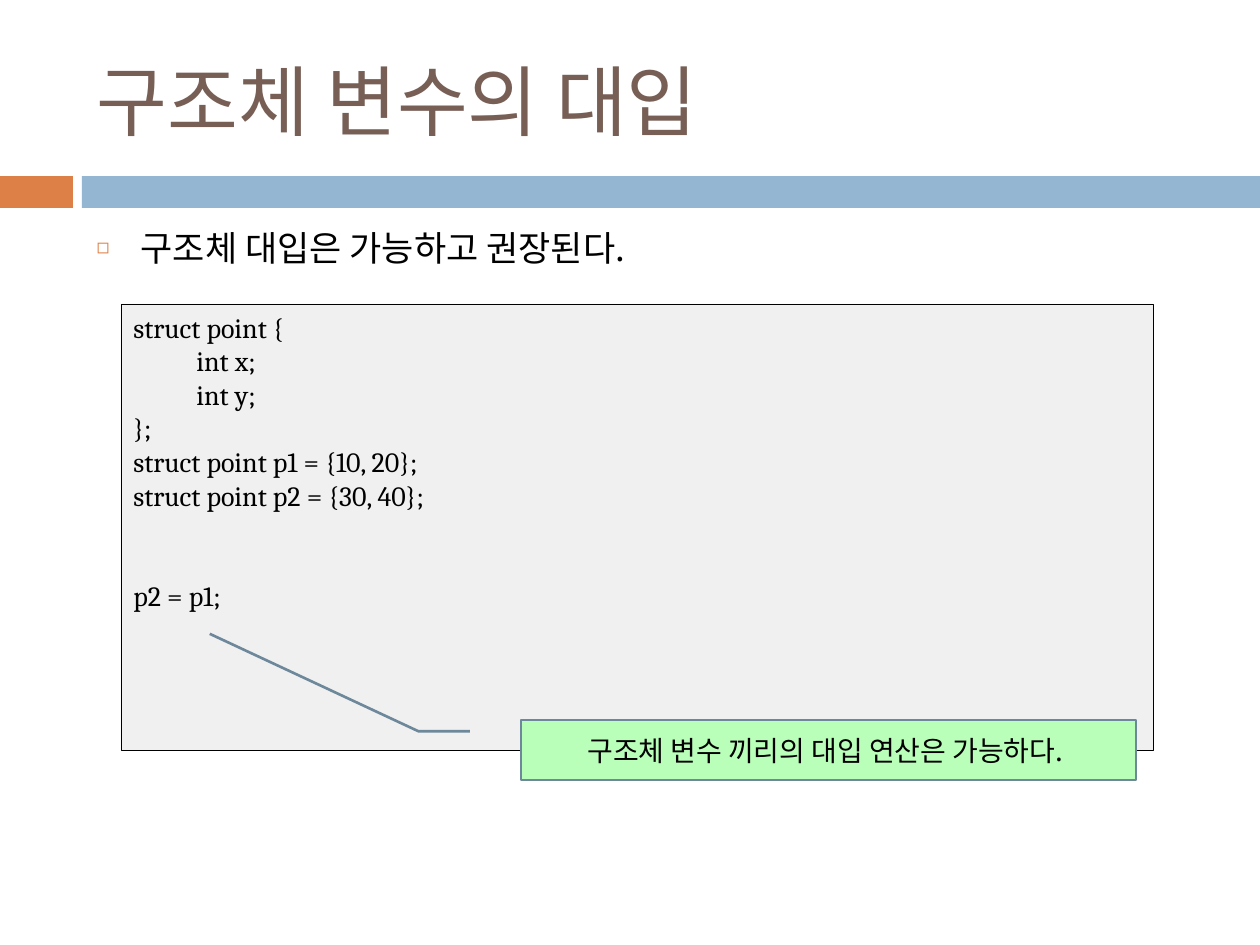
from lxml.etree import SubElement
from pptx import Presentation
from pptx.dml.color import RGBColor
from pptx.enum.shapes import MSO_SHAPE
from pptx.enum.text import MSO_ANCHOR, PP_ALIGN
from pptx.oxml.ns import qn
from pptx.util import Emu, Pt

PX = 914400 / 126
KOREAN = "Noto Sans CJK KR"

# Content
TITLE = "구조체 변수의 대입"
BULLETS = ["구조체 대입은 가능하고 권장된다."]
DECLARATIONS = [
    "struct point {",
    "\tint x;",
    "\tint y;",
    "};",
    "struct point p1 = {10, 20};",
    "struct point p2 = {30, 40};",
]
ASSIGNMENT = "p2 = p1;"
NOTE = "구조체 변수 끼리의 대입 연산은 가능하다. "
BANDS = [((0, 176, 73, 32), "DD8047"), ((82, 176, 1178, 32), "94B6D2")]
POINTER = [0.188, -0.083, 0.188, -0.167, -1.435, -0.506]


def px(length):
    return Emu(round(length * PX))


def color(hex_value):
    return RGBColor.from_string(hex_value)


def place(shape, box):
    shape.left, shape.top, shape.width, shape.height = map(px, box)


def write(frame, lines, size, font=KOREAN, ink="000000",
          align=PP_ALIGN.LEFT, anchor=MSO_ANCHOR.TOP):
    frame.word_wrap = True
    frame.vertical_anchor = anchor
    for index, line in enumerate(lines):
        paragraph = frame.paragraphs[0] if index == 0 else frame.add_paragraph()
        paragraph.alignment = align
        run = paragraph.add_run()
        run.text = line
        run.font.size = Pt(size)
        run.font.name = font
        run.font.color.rgb = color(ink)
        SubElement(run.font._element, qn("a:ea"), typeface=KOREAN)
    return frame.paragraphs


def add_bullet(paragraph, char, ink, percent, indent):
    properties = paragraph._p.get_or_add_pPr()
    properties.set("marL", str(px(indent)))
    properties.set("indent", str(-px(indent)))
    SubElement(SubElement(properties, qn("a:buClr")), qn("a:srgbClr"), val=ink)
    SubElement(properties, qn("a:buSzPct"), val=str(percent * 1000))
    SubElement(properties, qn("a:buChar"), char=char)


def add_box(slide, preset, box, fill, line=None, line_width=0):
    shape = slide.shapes.add_shape(preset, *map(px, box))
    shape.shadow.inherit = False
    shape.fill.solid()
    shape.fill.fore_color.rgb = color(fill)
    if line:
        shape.line.color.rgb = color(line)
        shape.line.width = Pt(line_width)
    else:
        shape.line.fill.background()
    return shape


def main():
    deck = Presentation()
    deck.slide_width, deck.slide_height = px(1260), px(945)
    slide = deck.slides.add_slide(deck.slide_layouts[1])
    title, body = slide.placeholders

    # Title and divider bands
    place(title, (84, 32, 1124, 136))
    write(title.text_frame, [TITLE], 44, font="Calibri", ink="775F55",
          anchor=MSO_ANCHOR.MIDDLE)
    for box, fill in BANDS:
        add_box(slide, MSO_SHAPE.RECTANGLE, box, fill)

    # Bullet list
    place(body, (84, 220, 1124, 620))
    for paragraph in write(body.text_frame, BULLETS, 20):
        paragraph.space_before = Pt(7)
        add_bullet(paragraph, "◻", "DD8047", 60, 44)

    # Code listing, with a two-line gap before the assignment
    listing = add_box(slide, MSO_SHAPE.RECTANGLE, (121, 304, 1032, 446),
                      "F0F0F0", "000000", 0.25)
    code = write(listing.text_frame, DECLARATIONS + [ASSIGNMENT], 16, font="Cambria")
    code[-1].space_before = Pt(38)

    # Callout pointing at the assignment
    callout = add_box(slide, MSO_SHAPE.LINE_CALLOUT_2, (521, 720, 615, 60),
                      "B9FFB9", "6D879B", 1.5)
    for index, value in enumerate(POINTER):
        callout.adjustments[index] = value
    write(callout.text_frame, [NOTE], 16, align=PP_ALIGN.CENTER,
          anchor=MSO_ANCHOR.MIDDLE)

    deck.save("out.pptx")


if __name__ == "__main__":
    main()
